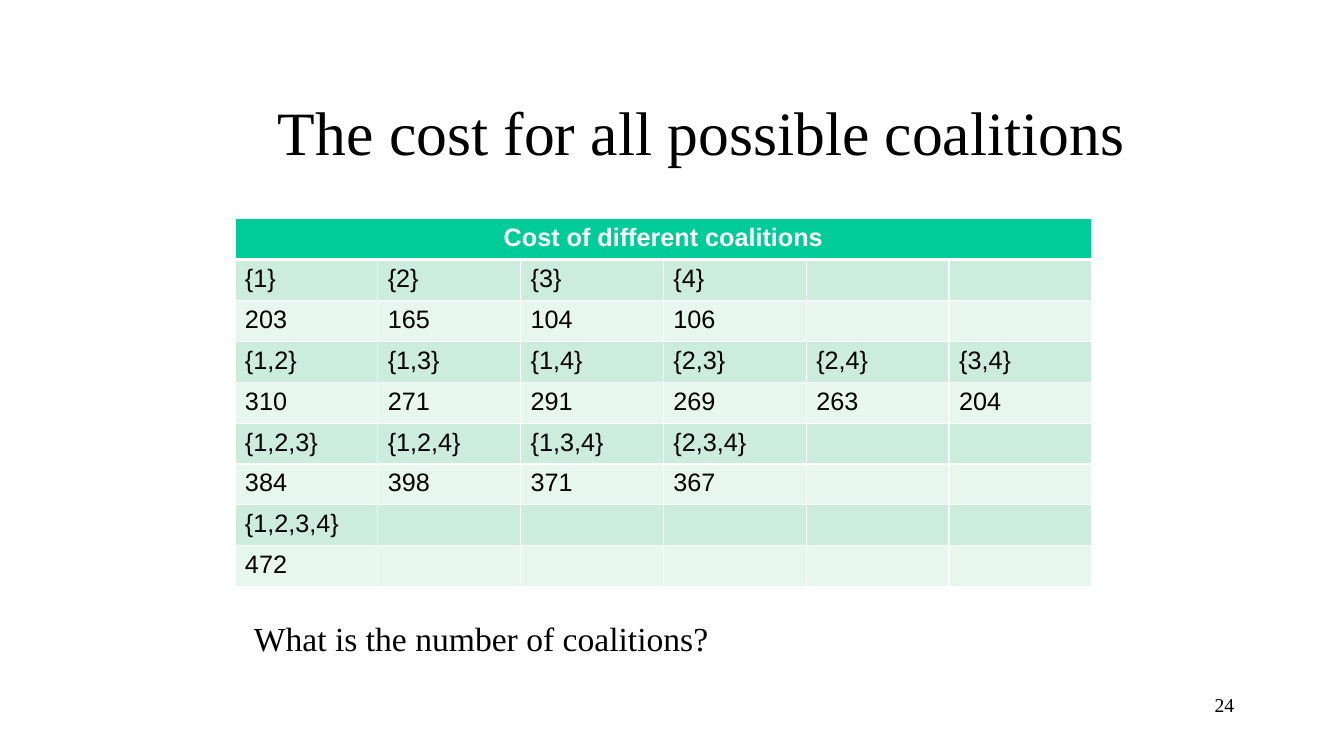
import pptx
import pptx.dml.color
import pptx.enum.text
import pptx.oxml
import pptx.oxml.ns
import pptx.util
from pptx.util import Inches

ALIGN = pptx.enum.text.PP_ALIGN
ANCHOR = pptx.enum.text.MSO_ANCHOR
SERIF, SANS = "Times New Roman", "Arial"
BLACK, WHITE, GREEN = "000000", "FFFFFF", "00CC99"
BANDS = ["CCECDE", "E7F6EF"]
COLS = 6
COSTS = [
    ["{1}", "{2}", "{3}", "{4}"],
    ["203", "165", "104", "106"],
    ["{1,2}", "{1,3}", "{1,4}", "{2,3}", "{2,4}", "{3,4}"],
    ["310", "271", "291", "269", "263", "204"],
    ["{1,2,3}", "{1,2,4}", "{1,3,4}", "{2,3,4}"],
    ["384", "398", "371", "367"],
    ["{1,2,3,4}"],
    ["472"],
]


def color(code):
    return pptx.dml.color.RGBColor.from_string(code)


def write(frame, text, size=18, font=SANS, ink=BLACK, bold=False, align=ALIGN.LEFT):
    para = frame.paragraphs[0]
    para.alignment = align
    run = para.add_run()
    run.text = text
    run.font.size = pptx.util.Pt(size)
    run.font.name = font
    run.font.bold = bold
    run.font.color.rgb = color(ink)


def add_text(slide, text, left, top, width, height, anchor=ANCHOR.TOP, **style):
    box = slide.shapes.add_textbox(
        Inches(left), Inches(top), Inches(width), Inches(height))
    box.text_frame.word_wrap = True
    box.text_frame.vertical_anchor = anchor
    write(box.text_frame, text, font=SERIF, **style)


def paint(cell, fill, top=1, bottom=1):
    """Give a cell white borders, with widths in points, and then its fill."""
    props = cell._tc.get_or_add_tcPr()
    for side, width in (("L", 1), ("R", 1), ("T", top), ("B", bottom)):
        props.append(pptx.oxml.parse_xml(
            f'<a:ln{side} {pptx.oxml.ns.nsdecls("a")} w="{pptx.util.Pt(width)}">'
            f'<a:solidFill><a:srgbClr val="{WHITE}"/></a:solidFill></a:ln{side}>'))
    cell.fill.solid()
    cell.fill.fore_color.rgb = color(fill)


def add_costs(slide):
    count = len(COSTS) + 1
    table = slide.shapes.add_table(
        count, COLS, Inches(2.33), Inches(2.17), Inches(8.5), Inches(3.65)).table
    for row in table.rows:
        row.height = Inches(3.65 / count)
    for col in range(COLS):
        paint(table.cell(0, col), GREEN, bottom=3)
    head = table.cell(0, 0)
    head.merge(table.cell(0, COLS - 1))
    write(head.text_frame, "Cost of different coalitions",
          ink=WHITE, bold=True, align=ALIGN.CENTER)
    for row, costs in enumerate(COSTS, 1):
        for col in range(COLS):
            cell = table.cell(row, col)
            paint(cell, BANDS[(row - 1) % 2], top=3 if row == 1 else 1)
            if col < len(costs):
                write(cell.text_frame, costs[col])


def main():
    deck = pptx.Presentation()
    deck.slide_width, deck.slide_height = Inches(13.33), Inches(7.5)
    slide = deck.slides.add_slide(deck.slide_layouts[6])
    add_text(slide, "The cost for all possible coalitions", 2.42, 0.67, 9.08, 1.25,
             anchor=ANCHOR.MIDDLE, size=44, align=ALIGN.CENTER)
    add_costs(slide)
    add_text(slide, "24", 9.56, 6.83, 2.78, 0.5, size=14, align=ALIGN.RIGHT)
    add_text(slide, "What is the number of coalitions?", 2.42, 6.08, 7.92, 0.5, size=24)
    deck.save("out.pptx")


if __name__ == "__main__":
    main()
